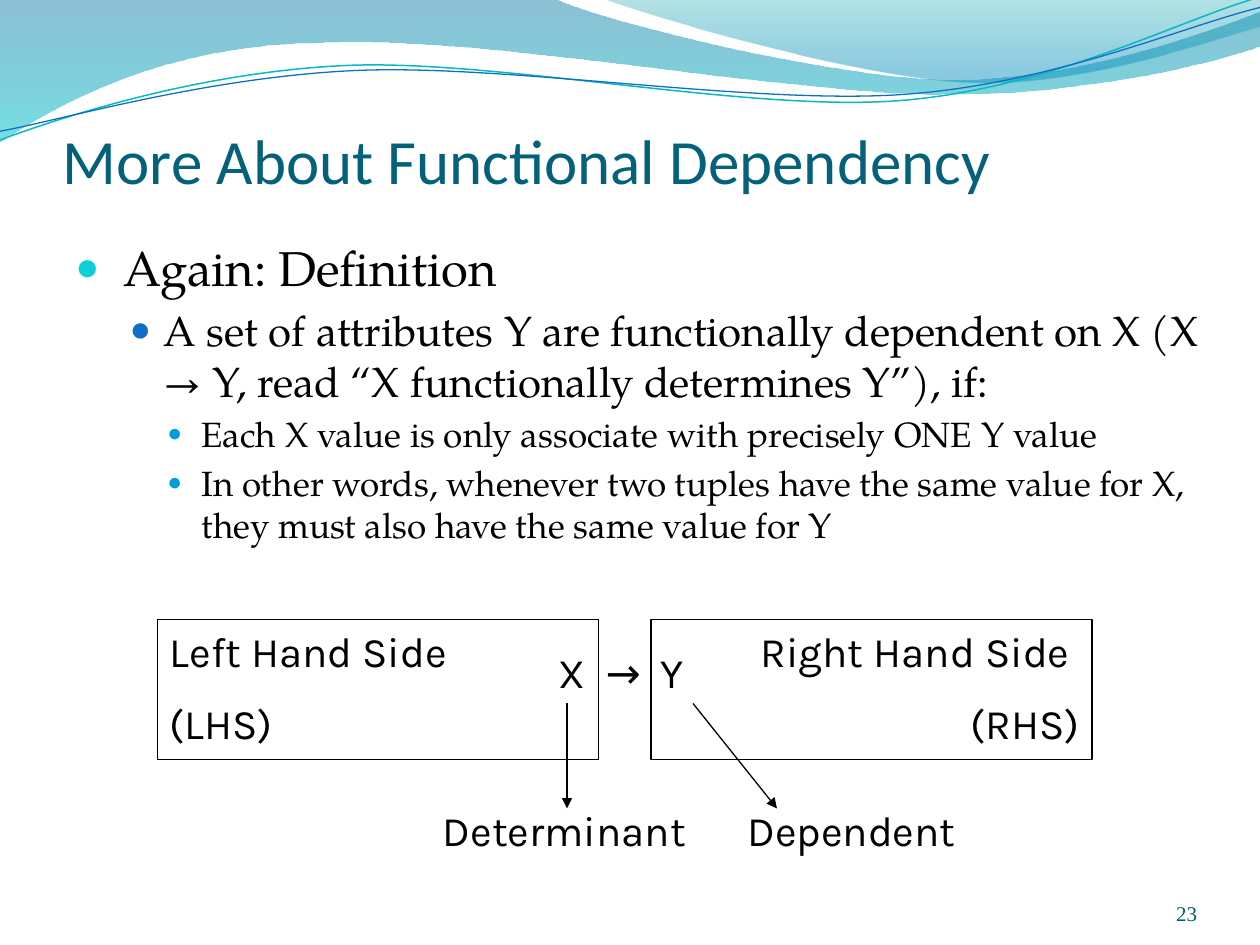
from lxml import etree
from pptx import Presentation
from pptx import util as u
from pptx.dml import color
from pptx.enum import shapes, text
from pptx.oxml import ns

LEFT, RIGHT = text.PP_ALIGN.LEFT, text.PP_ALIGN.RIGHT
TOP, BOTTOM = text.MSO_ANCHOR.TOP, text.MSO_ANCHOR.BOTTOM


def rgb(value):
    return color.RGBColor.from_string(value)


def child(parent, tag, **attrs):
    return etree.SubElement(parent, ns.qn(tag), {k: str(v) for k, v in attrs.items()})


def write(tf, content, size=24, font="Karla", fill="000000", align=LEFT, before=0,
          level=0, indent=None, bullet=None, tabs=(), lead=None):
    used = tf.paragraphs[-1].runs
    p = tf.add_paragraph() if used else tf.paragraphs[0]
    p.level = level
    pPr = p._p.get_or_add_pPr()
    if bullet:
        left, hang = indent
        pPr.set("marL", str(u.Pt(left)))
        pPr.set("indent", str(-u.Pt(hang)))
        bullet_color, percent = bullet
        child(child(pPr, "a:buClr"), "a:srgbClr", val=bullet_color)
        child(pPr, "a:buSzPct", val=percent * 1000)
        child(pPr, "a:buFont", typeface="Times New Roman")
        child(pPr, "a:buChar", char="●")
    if tabs:
        stops = child(pPr, "a:tabLst")
        for pos in tabs:
            child(stops, "a:tab", pos=u.Pt(pos), algn="l")
    p.alignment = align
    p.space_before = u.Pt(before)
    for piece, points in ([(" ", lead)] if lead else []) + [(content, size)]:
        r = p.add_run()
        r.text = piece
        r.font.size = u.Pt(points)
        r.font.name = font
        r.font.color.rgb = rgb(fill)


class Board:
    """Draws styled elements, measured in points, on the current slide."""

    ink = "000000"
    thin = 0.75

    def __init__(self, slide):
        self.s = slide

    def frame(self, sp, anchor=TOP, insets=(7.2, 3.6, 7.2, 3.6)):
        tf = sp.text_frame
        tf.word_wrap = True
        tf.vertical_anchor = anchor
        tf.margin_left, tf.margin_top, tf.margin_right, tf.margin_bottom = map(u.Pt, insets)
        return tf

    def label(self, x, y, w, h, **layout):
        return self.frame(self.s.shapes.add_textbox(*map(u.Pt, (x, y, w, h))), **layout)

    def box(self, x, y, w, h):
        sp = self.s.shapes.add_shape(shapes.MSO_SHAPE.RECTANGLE, *map(u.Pt, (x, y, w, h)))
        sp.shadow.inherit = False
        sp.fill.background()
        sp.line.color.rgb = rgb(self.ink)
        sp.line.width = u.Pt(self.thin)
        return self.frame(sp)

    def arrow(self, *ends):
        c = self.s.shapes.add_connector(shapes.MSO_CONNECTOR.STRAIGHT, *map(u.Pt, ends))
        c.line.color.rgb = rgb(self.ink)
        c.line.width = u.Pt(self.thin)
        spPr = c._element.spPr
        child(spPr.find(ns.qn("a:ln")), "a:tailEnd", type="triangle")
        child(spPr, "a:effectLst")

    def outline(self, start, segments, close):
        points = [(u.Pt(x), u.Pt(y)) for seg in [[start], *segments] for x, y in seg]
        fb = self.s.shapes.build_freeform(*points[0])
        fb.add_line_segments(points[1:], close=close)
        sp = fb.convert_to_shape()
        sp.shadow.inherit = False
        steps = iter(list(sp._element.spPr.iter(ns.qn("a:lnTo"))))
        for seg in segments:
            first, *others = [next(steps) for _ in seg]
            if others:
                first.tag = ns.qn("a:cubicBezTo")
                for step in others:
                    first.append(step[0])
                    step.getparent().remove(step)
        return sp

    def wave(self, start, segments, stops):
        sp = self.outline(start, segments, True)
        sp.line.fill.background()
        sp.fill.gradient()
        sp.fill.gradient_angle = 270
        for stop, (position, value, _) in zip(sp.fill.gradient_stops, stops):
            stop.position = position
            stop.color.rgb = rgb(value)
        for clr, (_, _, opacity) in zip(sp._element.spPr.iter(ns.qn("a:srgbClr")), stops):
            child(clr, "a:alpha", val=opacity * 1000)

    def strand(self, start, segments, value, width):
        sp = self.outline(start, segments, False)
        sp.fill.background()
        sp.line.color.rgb = rgb(value)
        sp.line.width = u.Pt(width)


def main():
    prs = Presentation()
    prs.slide_width, prs.slide_height = u.Pt(720), u.Pt(540)
    b = Board(prs.slides.add_slide(prs.slide_layouts[6]))

    b.wave((0, -0.7), [
        [(317, -0.7)],
        [(343, 12), (478, 45.4), (546, 45.4)],
        [(614, 45.4), (690, 18.7), (720, 6.5)],
        [(720.7, 26)],
        [(708, 32), (626, 54.7), (537, 54)],
        [(448, 54), (275, 20), (185, 24.5)],
        [(93, 25), (33, 60), (-0.7, 81.4)],
    ], [(0, "0074A1", 45), (1, "00C6CF", 55)])
    b.wave((345, -0.7), [
        [(366, 8), (491, 44.6), (554, 46.8)],
        [(616, 49.7), (692, 23), (720, 15)],
        [(720, 0)],
    ], [(0, "00A1A9", 30), (0.8, "008BBF", 45)])
    b.strand((0, 80), [
        [(35, 67), (114, 41), (199, 37.4)],
        [(285, 34), (427, 64), (513, 57.6)],
        [(600, 51), (675, 11), (719, -1.4)],
    ], "0AB8BF", 0.85)
    b.strand((0, 75), [
        [(34, 69), (118, 44), (204, 40.3)],
        [(290, 36.7), (430, 60), (516, 54)],
        [(602, 48), (676, 15), (720, 4.3)],
    ], "0F6FC6", 0.75)

    title = b.label(36, 60, 648, 52.5, anchor=BOTTOM, insets=(0, 3.6, 0, 0))
    write(title, "More About Functional Dependency", size=36, font="Calibri", fill="04617B")

    levels = [
        dict(size=28, lead=24, indent=(21.6, 21.6), bullet=("0BD0D9", 95)),
        dict(size=24, indent=(50.4, 19.4), bullet=("0F6FC6", 85), before=5),
        dict(size=20, indent=(72, 19.4), bullet=("009DD9", 70), before=4),
    ]
    body = b.label(36, 132, 666, 198)
    for level, content in [
        (0, "Again: Definition"),
        (1, "A set of attributes Y are functionally dependent on X "
            "(X → Y, read “X functionally determines Y”), if:"),
        (2, "Each X value is only associate with precisely ONE Y value"),
        (2, "In other words, whenever two tuples have the same value for X, "
            "they must also have the same value for Y"),
    ]:
        write(body, content, font="TeX Gyre Pagella", level=level, **levels[level])

    number = b.label(624, 500, 60, 29, anchor=BOTTOM, insets=(0, 0, 0, 0))
    write(number, "23", size=12, font="Times New Roman", fill="045C75", align=RIGHT)

    write(b.label(312, 366, 126, 36), "X\t→\tY", tabs=(27, 58.5))
    for name, x, ends in [
        ("Determinant", 246, (324, 402, 324, 462)),
        ("Dependent", 420, (396, 402, 444, 462)),
    ]:
        b.arrow(*ends)
        write(b.label(x, 456, 180, 36), name)
    for x, align, lines in [
        (90, LEFT, ("Left Hand Side", "(LHS)")),
        (372, RIGHT, ("Right Hand Side ", "(RHS)")),
    ]:
        tf = b.box(x, 354, 252, 80)
        for before, line in zip((0, 12.5), lines):
            write(tf, line, align=align, before=before)

    prs.save("out.pptx")


if __name__ == "__main__":
    main()
